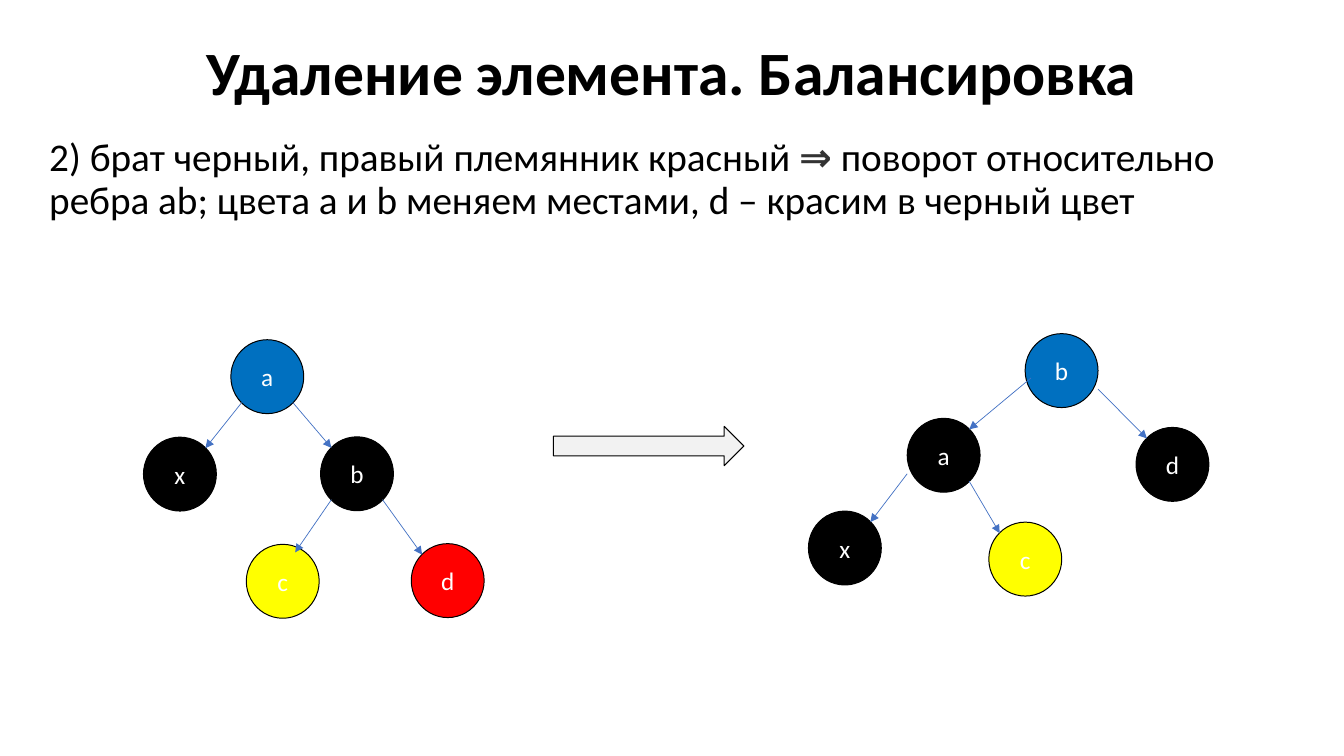
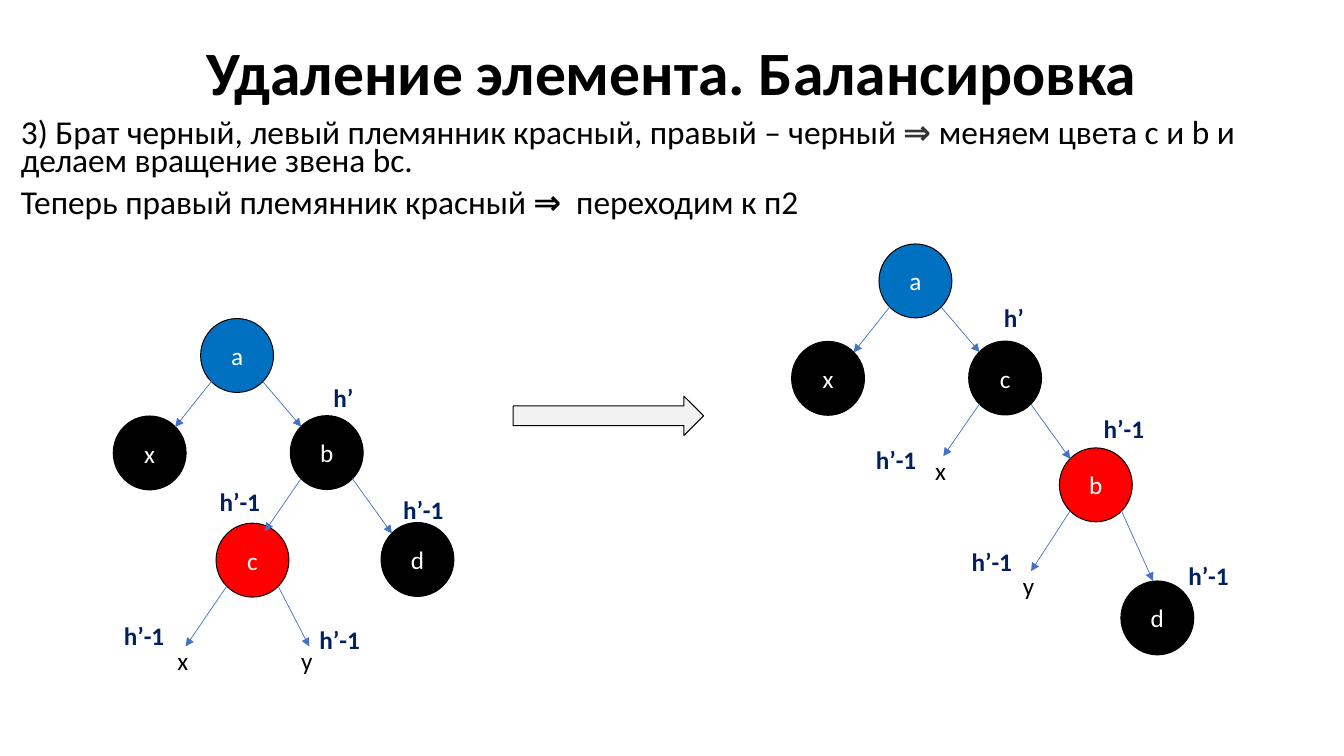
import dataclasses
import typing

import lxml.etree
import pptx
import pptx.dml.color
import pptx.enum.shapes
import pptx.enum.text
import pptx.oxml.ns
import pptx.presentation
import pptx.slide
import pptx.text.text
import pptx.util

COLUMNS = 40
ROWS = 22.5


@dataclasses.dataclass(frozen=True)
class Theme:
    font: str = "Calibri"
    symbol_font: str = "Lato"
    black: str = "000000"
    white: str = "FFFFFF"
    blue: str = "0070C0"
    red: str = "FF0000"
    yellow: str = "FFFF00"
    edge: str = "4472C4"
    navy: str = "002060"
    gray: str = "333333"
    title_size: float = 44
    rule_size: float = 28
    small_rule_size: float = 23.8
    label_size: float = 18
    outline: float = 0.71
    edge_width: float = 0.5
    arrow_alpha: int = 5000


THEME = Theme()


class Point(typing.NamedTuple):
    x: float
    y: float

    def plus(self, other: "Point") -> "Point":
        return Point(self.x + other.x, self.y + other.y)


class Box(typing.NamedTuple):
    left: float
    top: float
    width: float
    height: float


class Run(typing.NamedTuple):
    text: str
    size: float
    color: str = THEME.black
    bold: bool = False
    font: str = THEME.font


class Node(typing.NamedTuple):
    name: str
    fill: str
    parent: str = ""
    step: Point = Point(0, 0)
    start: typing.Optional[Point] = None
    end: typing.Optional[Point] = None


class Leaf(typing.NamedTuple):
    name: str
    parent: str
    step: Point
    width: float


class Label(typing.NamedTuple):
    text: str
    position: Point


class Tree(typing.NamedTuple):
    root: Point
    nodes: list[Node]
    leaves: list[Leaf] = []
    labels: list[Label] = []


class Page(typing.NamedTuple):
    body: Box
    line_spacing: float
    paragraphs: list[list[Run]]
    arrow: Point
    trees: list[Tree]


TITLE = "Удаление элемента. Балансировка"
TITLE_BOX = Box(2.76, 0.06, 34.5, 4.35)
NODE_SIZE = Point(2.17, 2.2)
ARROW_SIZE = Point(5.67, 1.17)
LEAF_OFFSET = Point(-0.54, -0.17)
TEXT_HEIGHT = 1.2
LABEL_WIDTHS = {"h’": 1.53, "h’-1": 2.16}
NEAR_EDGE, FAR_EDGE = 0.15, 0.85
INNER_TOP = Point(0.67, 0.11)

OUTER_LEFT = Point(-2.6, 2.9)
OUTER_RIGHT = Point(2.67, 2.89)
LOWER_LEFT = Point(-2.21, 3.2)
LOWER_RIGHT = Point(2.7, 3.18)


def column(count: float) -> int:
    return pptx.util.Inches(count * 40 / 3 / COLUMNS)


def row(count: float) -> int:
    return pptx.util.Inches(count * 7.5 / ROWS)


def rgb(color: str) -> pptx.dml.color.RGBColor:
    return pptx.dml.color.RGBColor.from_string(color)


def place(box: Box) -> tuple[int, int, int, int]:
    return column(box.left), row(box.top), column(box.width), row(box.height)


def add_run(paragraph: pptx.text.text._Paragraph, run: Run) -> None:
    text_run = paragraph.add_run()
    text_run.text = run.text
    text_run.font.name = run.font
    text_run.font.size = pptx.util.Pt(run.size)
    text_run.font.bold = run.bold
    text_run.font.color.rgb = rgb(run.color)


def add_text(slide: pptx.slide.Slide, box: Box, paragraphs: list[list[Run]],
             line_spacing: float = 1, space_before: float = 0,
             centered: bool = False) -> None:
    frame = slide.shapes.add_textbox(*place(box)).text_frame
    frame.word_wrap = True
    if centered:
        frame.vertical_anchor = pptx.enum.text.MSO_ANCHOR.MIDDLE
    for index, runs in enumerate(paragraphs):
        paragraph = frame.add_paragraph() if index else frame.paragraphs[0]
        paragraph.line_spacing = line_spacing
        paragraph.space_before = pptx.util.Pt(space_before)
        if centered:
            paragraph.alignment = pptx.enum.text.PP_ALIGN.CENTER
        for run in runs:
            add_run(paragraph, run)


def add_outlined(slide: pptx.slide.Slide, kind: pptx.enum.shapes.MSO_SHAPE,
                 position: Point, size: Point, fill: str):
    shape = slide.shapes.add_shape(kind, *place(Box(*position, *size)))
    shape.shadow.inherit = False
    shape.fill.solid()
    shape.fill.fore_color.rgb = rgb(fill)
    shape.line.color.rgb = rgb(THEME.black)
    shape.line.width = pptx.util.Pt(THEME.outline)
    return shape


def add_circle(slide: pptx.slide.Slide, position: Point, node: Node) -> None:
    shape = add_outlined(slide, pptx.enum.shapes.MSO_SHAPE.OVAL,
                         position, NODE_SIZE, node.fill)
    shape.text_frame.vertical_anchor = pptx.enum.text.MSO_ANCHOR.MIDDLE
    paragraph = shape.text_frame.paragraphs[0]
    paragraph.alignment = pptx.enum.text.PP_ALIGN.CENTER
    add_run(paragraph, Run(node.name, THEME.label_size, THEME.white))


def add_block_arrow(slide: pptx.slide.Slide, position: Point) -> None:
    shape = add_outlined(slide, pptx.enum.shapes.MSO_SHAPE.RIGHT_ARROW,
                         position, ARROW_SIZE, THEME.black)
    color = shape._element.spPr.find(".//" + pptx.oxml.ns.qn("a:srgbClr"))
    alpha = lxml.etree.SubElement(color, pptx.oxml.ns.qn("a:alpha"))
    alpha.set("val", str(THEME.arrow_alpha))


def add_edge(slide: pptx.slide.Slide, start: Point, end: Point) -> None:
    connector = slide.shapes.add_connector(
        pptx.enum.shapes.MSO_CONNECTOR.STRAIGHT,
        column(start.x), row(start.y), column(end.x), row(end.y))
    connector.line.color.rgb = rgb(THEME.edge)
    connector.line.width = pptx.util.Pt(THEME.edge_width)
    properties = connector._element.spPr
    line = properties.find(pptx.oxml.ns.qn("a:ln"))
    head = lxml.etree.SubElement(line, pptx.oxml.ns.qn("a:tailEnd"))
    head.set("type", "triangle")
    lxml.etree.SubElement(properties, pptx.oxml.ns.qn("a:effectLst"))


def anchor(position: Point, share: Point) -> Point:
    return position.plus(Point(share.x * NODE_SIZE.x, share.y * NODE_SIZE.y))


def lower_anchor(step: Point) -> Point:
    return Point(NEAR_EDGE if step.x < 0 else FAR_EDGE, FAR_EDGE)


def upper_anchor(step: Point) -> Point:
    return Point(FAR_EDGE if step.x < 0 else NEAR_EDGE, NEAR_EDGE)


def add_tree(slide: pptx.slide.Slide, tree: Tree) -> None:
    positions: dict[str, Point] = {}
    for node in tree.nodes:
        origin = positions.get(node.parent, tree.root)
        positions[node.name] = origin.plus(node.step)
        add_circle(slide, positions[node.name], node)
    for node in tree.nodes:
        if node.parent:
            add_edge(slide,
                     anchor(positions[node.parent], node.start or lower_anchor(node.step)),
                     anchor(positions[node.name], node.end or upper_anchor(node.step)))
    for leaf in tree.leaves:
        start = anchor(positions[leaf.parent], lower_anchor(leaf.step))
        tip = start.plus(leaf.step)
        add_edge(slide, start, tip)
        add_text(slide, Box(*tip.plus(LEAF_OFFSET), leaf.width, TEXT_HEIGHT),
                 [[Run(leaf.name, THEME.label_size)]])
    for label in tree.labels:
        add_text(slide, Box(*label.position, LABEL_WIDTHS[label.text], TEXT_HEIGHT),
                 [[Run(label.text, THEME.label_size, THEME.navy, True)]])


def add_page(presentation: pptx.presentation.Presentation, page: Page) -> None:
    slide = presentation.slides.add_slide(presentation.slide_layouts[6])
    add_text(slide, page.body, page.paragraphs, page.line_spacing, 10)
    add_text(slide, TITLE_BOX, [[Run(TITLE, THEME.title_size, bold=True)]],
             0.9, centered=True)
    add_block_arrow(slide, page.arrow)
    for tree in page.trees:
        add_tree(slide, tree)


def sibling_tree(root: Point, inner: str, outer: str, leaves: list[Leaf],
                 labels: list[Label]) -> Tree:
    return Tree(root, [
        Node("a", THEME.blue),
        Node("x", THEME.black, "a", OUTER_LEFT),
        Node("b", THEME.black, "a", OUTER_RIGHT),
        Node("c", inner, "b", LOWER_LEFT, end=INNER_TOP),
        Node("d", outer, "b", LOWER_RIGHT),
    ], leaves, labels)


RED_RIGHT_NEPHEW = Page(
    Box(1.17, 3.96, 36.09, 3.27), 0.9,
    [[Run("2) брат черный, правый племянник красный ", THEME.rule_size),
      Run("⇒", THEME.rule_size, THEME.gray, True, THEME.symbol_font),
      Run(" поворот относительно ребра ab; цвета a и b меняем местами, "
          "d – красим в черный цвет", THEME.rule_size)]],
    Point(16.47, 12.69),
    [sibling_tree(Point(6.87, 10.11), THEME.yellow, THEME.red, [], []),
     Tree(Point(30.51, 9.93), [
         Node("b", THEME.blue),
         Node("a", THEME.black, "b", Point(-3.51, 2.52), start=Point(0.08, 0.6)),
         Node("x", THEME.black, "a", Point(-2.94, 2.76), start=Point(0, 0.75)),
         Node("c", THEME.yellow, "a", Point(2.43, 3.09)),
         Node("d", THEME.black, "b", Point(3.3, 2.79), start=Point(1, 0.75)),
     ])])

RED_LEFT_NEPHEW = Page(
    Box(0.33, 3.48, 36.93, 3.36), 0.7,
    [[Run("3) Брат черный, левый племянник красный, правый – черный ",
          THEME.small_rule_size),
      Run("⇒ ", THEME.small_rule_size, THEME.gray, True, THEME.symbol_font),
      Run("меняем цвета c и b и делаем вращение звена bc.", THEME.small_rule_size)],
     [Run("Теперь правый племянник красный ", THEME.small_rule_size),
      Run("⇒ ", THEME.small_rule_size, bold=True),
      Run(" переходим к п2", THEME.small_rule_size)]],
    Point(15.27, 11.79),
    [sibling_tree(Point(5.97, 9.48), THEME.red, THEME.black,
                  [Leaf("x", "c", Point(-1.23, 1.8), 1.5),
                   Leaf("y", "c", Point(0.93, 1.8), 0.93)],
                  [Label("h’", Point(9.63, 11.22)),
                   Label("h’-1", Point(6.24, 14.34)),
                   Label("h’-1", Point(11.7, 14.55)),
                   Label("h’-1", Point(3.39, 18.33)),
                   Label("h’-1", Point(9.21, 18.42))]),
     Tree(Point(26.16, 7.26), [
         Node("a", THEME.blue),
         Node("x", THEME.black, "a", OUTER_LEFT),
         Node("c", THEME.black, "a", OUTER_RIGHT),
         Node("b", THEME.red, "c", LOWER_RIGHT),
         Node("d", THEME.black, "b", Point(1.83, 3.96), end=Point(0.44, 0)),
     ], [Leaf("x", "c", Point(-1.08, 1.56), 1.5),
         Leaf("y", "b", Point(-1.17, 1.8), 0.93)],
         [Label("h’", Point(29.58, 8.85)),
          Label("h’-1", Point(25.77, 13.08)),
          Label("h’-1", Point(32.55, 12.15)),
          Label("h’-1", Point(28.62, 16.11)),
          Label("h’-1", Point(35.07, 16.53))])])

presentation = pptx.Presentation()
presentation.slide_width = column(COLUMNS)
presentation.slide_height = row(ROWS)
for page in (RED_RIGHT_NEPHEW, RED_LEFT_NEPHEW):
    add_page(presentation, page)
presentation.save("out.pptx")
